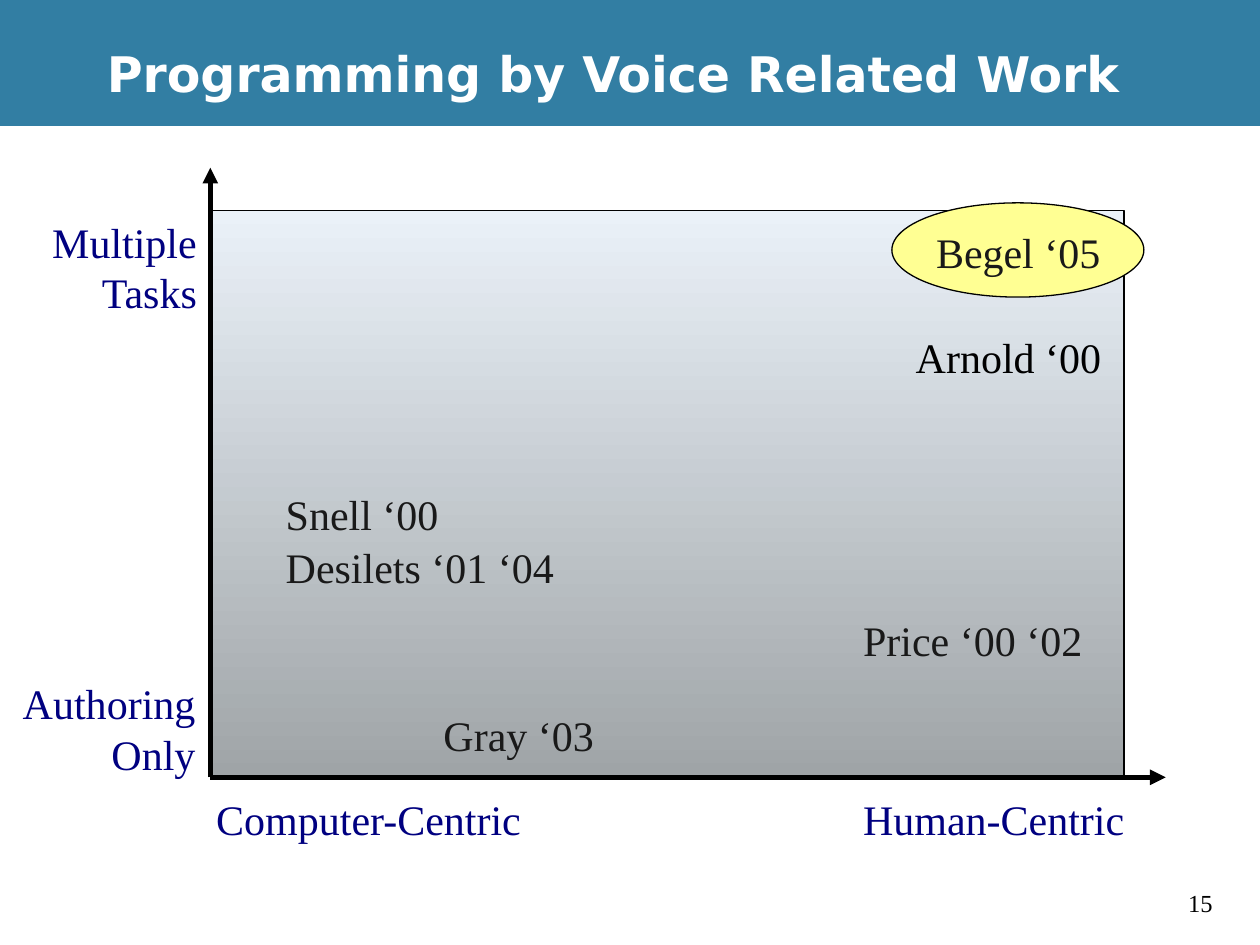
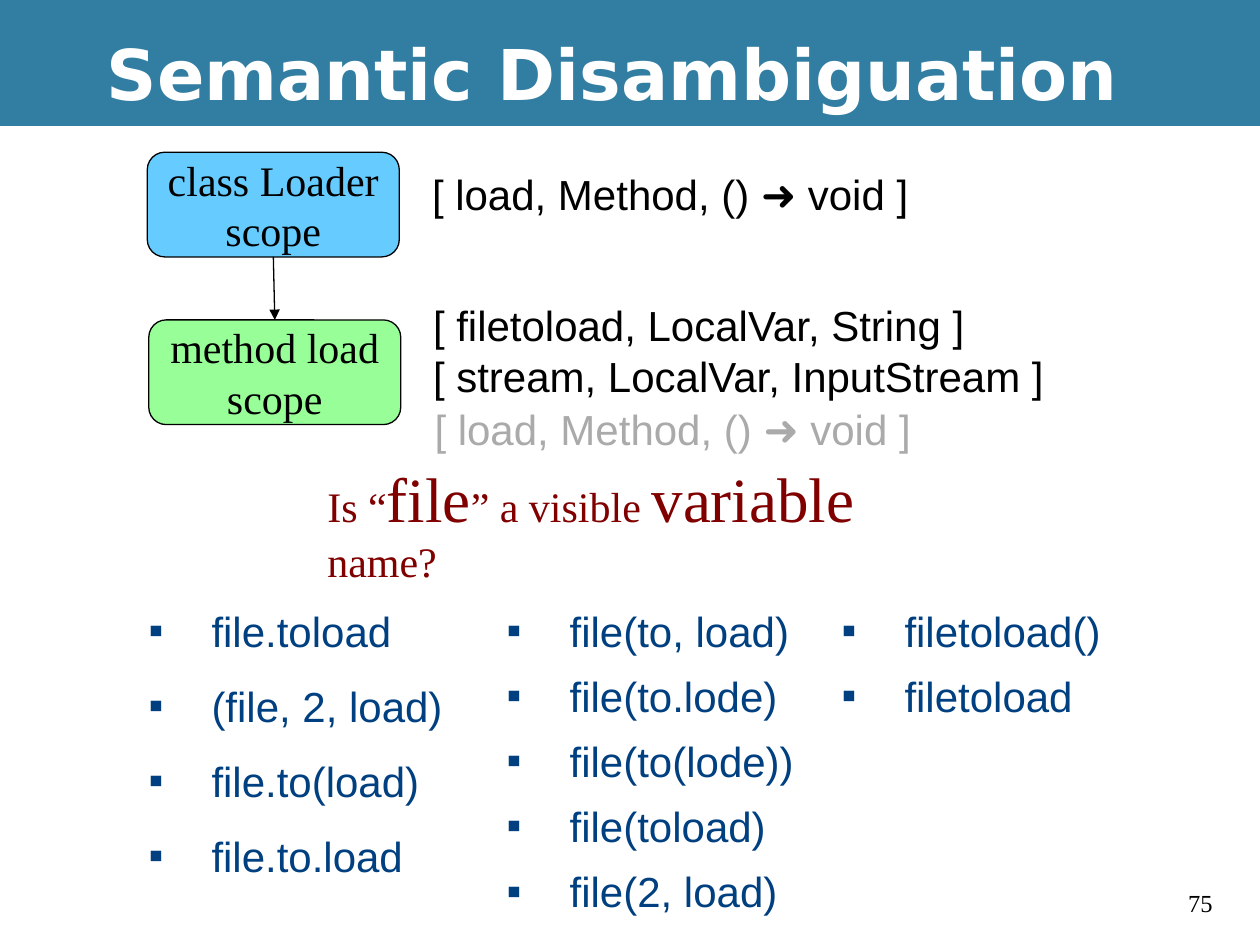
from dataclasses import dataclass
from typing import NamedTuple

from lxml import etree
from pptx import Presentation
from pptx import util as u
from pptx.dml.color import RGBColor
from pptx.enum import shapes, text
from pptx.oxml import ns


@dataclass(frozen=True)
class Theme:
    serif: str = "Times New Roman"
    sans: str = "Arial"
    title_font: str = "DejaVu Sans"
    black: str = "000000"
    white: str = "FFFFFF"
    band: str = "327EA3"
    axis_label: str = "000080"
    work: str = "191919"
    plot_top: str = "EAF1F8"
    plot_bottom: str = "9FA4A7"
    highlight: str = "FFFF93"
    class_scope: str = "66CCFF"
    method_scope: str = "98FF98"
    inherited: str = "AAAAAA"
    question: str = "800000"
    bullet: str = "004080"
    text_size: float = 24
    emphasis_size: float = 36
    number_size: float = 14
    thin: float = 0.75
    thick: float = 3


THEME = Theme()
LINE_HEIGHT = 27.6  # points taken by one line of 24 point Arial


class Place(NamedTuple):
    """Left, top, width and height in centimetres."""
    left: float
    top: float
    width: float
    height: float = 1.27

    def lengths(self) -> list[u.Cm]:
        return [u.Cm(value) for value in self]


class Span(NamedTuple):
    text: str
    size: float = THEME.text_size


class Label(NamedTuple):
    lines: list
    place: Place
    color: str
    align: text.PP_ALIGN = text.PP_ALIGN.LEFT


class Column(NamedTuple):
    left: float
    pitch: float
    entries: list[str]


PAGE = Place(0, 0, 25.4, 19.05)
BAND = Place(0, 0, 25.4, 2.54)
BODY = Place(0, 2.54, 25.4, 16.51)
TITLE = Place(1.9, 0.2, 23.5, 2.54)
NUMBER = Place(23.7, 17.78, 1.27, 0.84)

PLOT = Place(4.24, 4.24, 18.42, 11.43)
PLOT_BASE = PLOT.top + PLOT.height
AXIS_ENDS = [(23.5, PLOT_BASE), (PLOT.left, 3.38)]
RIGHT = text.PP_ALIGN.RIGHT
AXIS_LABELS = [
    Label(["Human-Centric"], Place(17.15, 15.88, 5.77), THEME.axis_label),
    Label(["Computer-Centric"], Place(4.11, 15.88, 6.68), THEME.axis_label),
    Label(["Multiple", "Tasks"], Place(0.79, 4.24, 3.43, 2.29), THEME.axis_label, RIGHT),
    Label(["Authoring", "Only"], Place(0.2, 13.54, 3.99, 2.29), THEME.axis_label, RIGHT),
]
HIGHLIGHT = Place(17.98, 4.09, 5.08, 1.9)
WORKS = [
    Label(["Arnold ‘00"], Place(18.21, 6.55, 4.24), THEME.black),
    Label(["Snell ‘00"], Place(5.51, 9.73, 3.58), THEME.work),
    Label(["Price ‘00 ‘02"], Place(17.15, 12.27, 4.93), THEME.work),
    Label(["Desilets ‘01 ‘04"], Place(5.51, 10.8, 5.92), THEME.work),
    Label(["Gray ‘03"], Place(8.69, 14.17, 3.56), THEME.work),
    Label(["Begel ‘05"], Place(18.62, 4.45, 3.84), THEME.work),
]

SCOPES = [
    Label(["class Loader", "scope"], Place(2.97, 3.07, 5.08, 2.11), THEME.class_scope),
    Label(["method load", "scope"], Place(3, 6.45, 5.08, 2.11), THEME.method_scope),
]
LOAD_SYMBOL = "[ load, Method, () ➜ void ]"
SYMBOLS = [
    Label([LOAD_SYMBOL], Place(8.46, 3.28, 10.19), THEME.black),
    Label(["[ filetoload, LocalVar, String ]", "[ stream, LocalVar, InputStream ]"],
          Place(8.48, 5.92, 12.93, 2.29), THEME.black),
    Label([LOAD_SYMBOL], Place(8.51, 8, 10.19), THEME.inherited),
]
QUESTION_PLACE = Place(6.35, 9.14, 13.2, 1.78)
QUESTION = [Span("Is “"), Span("file", THEME.emphasis_size), Span("” a visible "),
            Span("variable", THEME.emphasis_size), Span(" name?")]
COLUMN_TOP, COLUMN_WIDTH = 12.07, 6.7
COLUMNS = [
    Column(2.74, 1.47, ["file.toload", "(file, 2, load)", "file.to(load)", "file.to.load"]),
    Column(9.96, 1.27, ["file(to, load)", "file(to.lode)", "file(to(lode))",
                        "file(toload)", "file(2, load)"]),
    Column(16.71, 1.27, ["filetoload()", "filetoload"]),
]


def rgb(color: str) -> RGBColor:
    return RGBColor.from_string(color)


def write(frame, lines: list, *, font: str = THEME.serif, size: float = THEME.text_size,
          color: str = THEME.black, bold: bool = False, align=text.PP_ALIGN.LEFT,
          anchor=text.MSO_ANCHOR.TOP, wrap: bool = False, fit=text.MSO_AUTO_SIZE.NONE) -> None:
    """Fill a frame, one paragraph per line; a line is a string or a list of spans."""
    frame.word_wrap = wrap
    frame.auto_size = fit
    frame.vertical_anchor = anchor
    for index, line in enumerate(lines):
        para = frame.paragraphs[0] if index == 0 else frame.add_paragraph()
        para.alignment = align
        for span in [Span(line, size)] if isinstance(line, str) else line:
            run = para.add_run()
            run.text = span.text
            run.font.name = font
            run.font.size = u.Pt(span.size)
            run.font.bold = bold
            run.font.color.rgb = rgb(color)


def move(shape, place: Place) -> None:
    shape.left, shape.top, shape.width, shape.height = place.lengths()


def add_text(slide, lines: list, place: Place, **text_format) -> None:
    box = slide.shapes.add_textbox(*place.lengths())
    write(box.text_frame, lines, fit=text.MSO_AUTO_SIZE.SHAPE_TO_FIT_TEXT, **text_format)


def add_labels(slide, labels: list[Label], font: str) -> None:
    for label in labels:
        add_text(slide, label.lines, label.place, font=font, color=label.color, align=label.align)


def add_block(slide, kind, place: Place, fill: str, outlined: bool = True):
    block = slide.shapes.add_shape(kind, *place.lengths())
    block.shadow.inherit = False
    block.fill.solid()
    block.fill.fore_color.rgb = rgb(fill)
    if outlined:
        block.line.color.rgb = rgb(THEME.black)
        block.line.width = u.Pt(THEME.thin)
    else:
        block.line.fill.background()
    return block


def add_arrow(slide, start: tuple, end: tuple, width: float):
    arrow = slide.shapes.add_connector(
        shapes.MSO_CONNECTOR.STRAIGHT, *(u.Cm(value) for value in (*start, *end)))
    arrow.line.color.rgb = rgb(THEME.black)
    arrow.line.width = u.Pt(width)
    etree.SubElement(arrow.line._get_or_add_ln(), ns.qn("a:tailEnd"), type="triangle")
    etree.SubElement(arrow._element.spPr, ns.qn("a:effectLst"))
    return arrow


def add_page(deck, layout: int, title: str, title_size: float, number: int):
    slide = deck.slides.add_slide(deck.slide_layouts[layout])
    move(slide.shapes.title, TITLE)
    write(slide.shapes.title.text_frame, [title], font=THEME.title_font, size=title_size,
          color=THEME.white, bold=True, anchor=text.MSO_ANCHOR.MIDDLE, wrap=True)
    add_text(slide, [str(number)], NUMBER, size=THEME.number_size, wrap=True)
    return slide


def share_panels(deck, slide) -> None:
    """Draw the band and the body panel, then hand them to the master."""
    deck.slide_master.background.fill.solid()
    deck.slide_master.background.fill.fore_color.rgb = rgb(THEME.black)
    for place, color in [(BAND, THEME.band), (BODY, THEME.white)]:
        panel = add_block(slide, shapes.MSO_SHAPE.RECTANGLE, place, color, outlined=False)
        deck.slide_master.shapes._spTree.insert(2, panel._element)


def fill_column(body, column: Column) -> None:
    """Write a bulleted list whose lines are one pitch apart."""
    move(body, Place(column.left, COLUMN_TOP, COLUMN_WIDTH, column.pitch * len(column.entries)))
    write(body.text_frame, column.entries, font=THEME.sans, color=THEME.bullet, wrap=True)
    for para in body.text_frame.paragraphs:
        para.line_spacing = 1.0
        para.space_before = u.Pt(0)
        para.space_after = u.Pt(round(u.Cm(column.pitch).pt - LINE_HEIGHT, 1))
        properties = para._p.get_or_add_pPr()
        properties.set("marL", str(u.Cm(1.27)))
        properties.set("indent", str(-u.Cm(1.27)))
        etree.SubElement(properties, ns.qn("a:buFont"), typeface=THEME.sans)
        etree.SubElement(properties, ns.qn("a:buChar"), char="▪")


def build_related_work(deck):
    slide = add_page(deck, 5, "Programming by Voice Related Work", 28, 15)
    plot = add_block(slide, shapes.MSO_SHAPE.RECTANGLE, PLOT, THEME.plot_top)
    plot.fill.gradient()
    plot.fill.gradient_angle = 270
    for stop, color in zip(plot.fill.gradient_stops, [THEME.plot_top, THEME.plot_bottom]):
        stop.color.rgb = rgb(color)
    for end in AXIS_ENDS:
        add_arrow(slide, (PLOT.left, PLOT_BASE), end, THEME.thick)
    add_labels(slide, AXIS_LABELS, THEME.serif)
    add_block(slide, shapes.MSO_SHAPE.OVAL, HIGHLIGHT, THEME.highlight)
    add_labels(slide, WORKS, THEME.serif)
    return slide


def build_disambiguation(deck) -> None:
    slide = add_page(deck, 4, "Semantic Disambiguation", 40, 75)
    *bodies, spare = list(slide.placeholders)[1:]
    spare._element.getparent().remove(spare._element)
    for body, column in zip(bodies, COLUMNS):
        fill_column(body, column)

    scopes = []
    for scope in SCOPES:
        block = add_block(slide, shapes.MSO_SHAPE.ROUNDED_RECTANGLE, scope.place, scope.color)
        write(block.text_frame, scope.lines, align=text.PP_ALIGN.CENTER,
              anchor=text.MSO_ANCHOR.MIDDLE)
        scopes.append(block)
    arrow = add_arrow(slide, (5.51, 5.18), (5.54, 6.45), THEME.thin)
    arrow.begin_connect(scopes[0], 2)
    arrow.end_connect(scopes[1], 0)

    add_labels(slide, SYMBOLS, THEME.sans)
    add_text(slide, [QUESTION], QUESTION_PLACE, color=THEME.question, wrap=True)


def main() -> None:
    deck = Presentation()
    deck.slide_width, deck.slide_height = u.Cm(PAGE.width), u.Cm(PAGE.height)
    share_panels(deck, build_related_work(deck))
    build_disambiguation(deck)
    deck.save("out.pptx")


if __name__ == "__main__":
    main()
